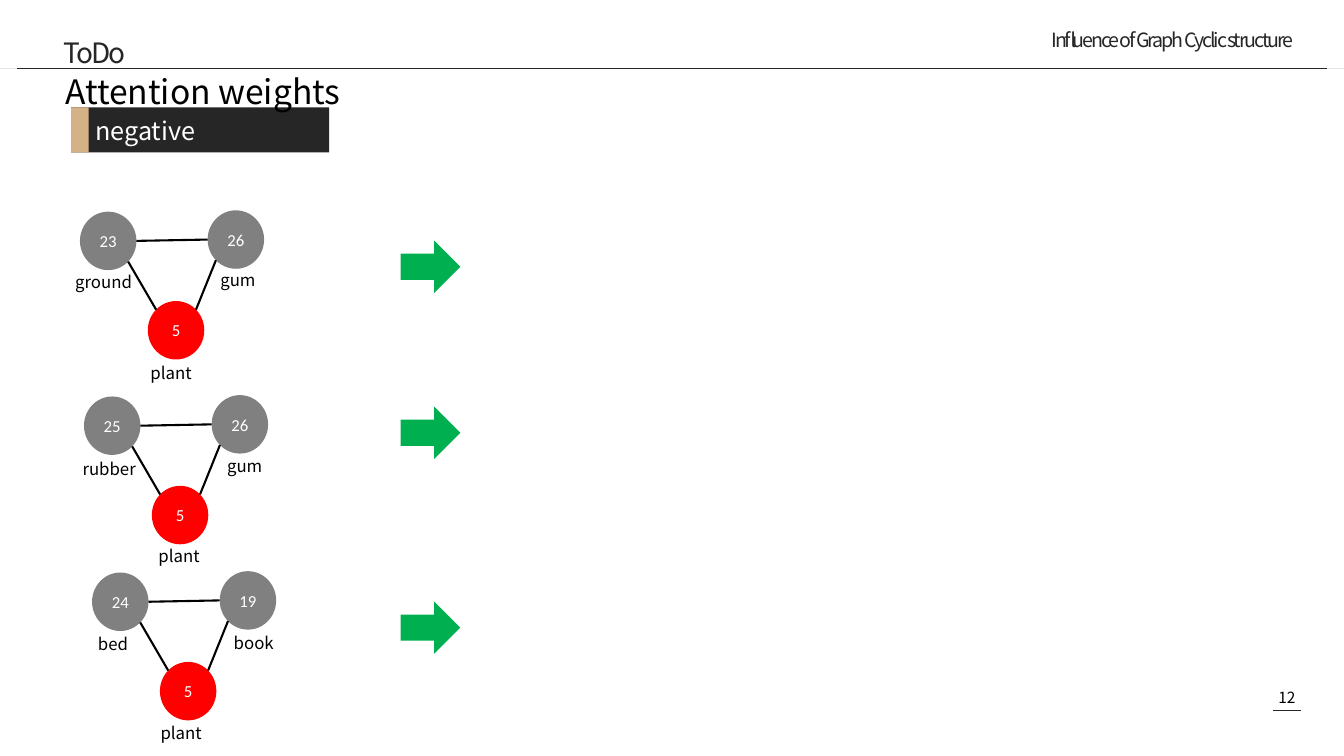
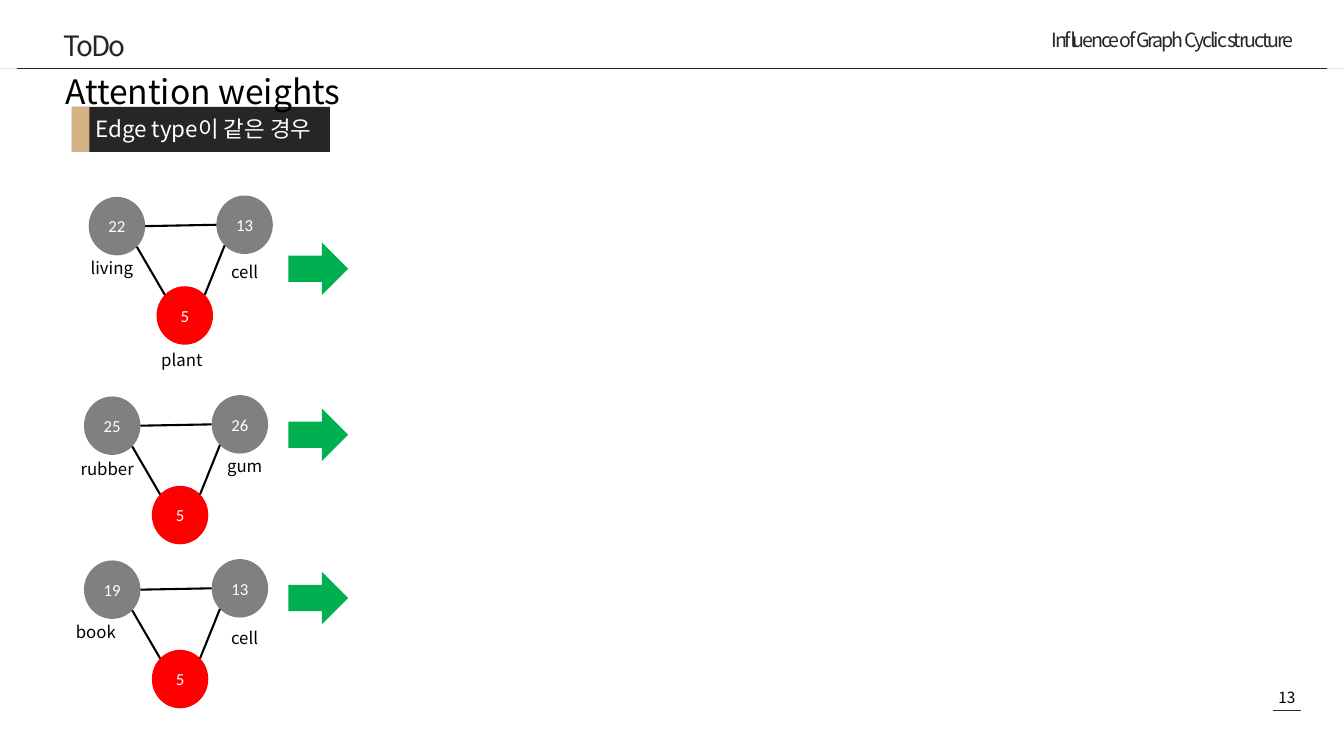
import math
from dataclasses import dataclass

import pptx
import pptx.dml.color
import pptx.enum.shapes
import pptx.enum.text
import pptx.oxml
import pptx.oxml.ns
import pptx.util
from pptx.util import Inches

COLORS = {
    "ink": "262626",
    "tan": "D5B186",
    "word": "808080",
    "target": "FF0000",
    "arrow": "00B050",
    "black": "000000",
    "white": "FFFFFF",
}
TEXT_FONT = "Noto Sans CJK KR"
NUMBER_FONT = "Calibri"
TIGHT = -220

NODE_WIDTH, NODE_HEIGHT = 0.84, 0.87
TARGET_OFFSET = (1.01, 1.33)
RIGHT_OFFSET = (1.9, -0.02)
TARGET_NUMBER = "5"

SHAPES = pptx.enum.shapes.MSO_SHAPE
ALIGN = pptx.enum.text.PP_ALIGN
ANCHOR = pptx.enum.text.MSO_ANCHOR


@dataclass
class Label:
    text: str
    left: float
    top: float
    width: float = 3.99


@dataclass
class Triangle:
    """Two word nodes above the target node; left and top place the left node."""
    left: float
    top: float
    left_number: str
    right_number: str
    labels: list[Label]


@dataclass
class Node:
    left: float
    top: float
    number: str
    color: str

    def rim(self, degrees: float) -> tuple[float, float]:
        """Point on the outline, clockwise from the right side."""
        angle = math.radians(degrees)
        return (self.left + NODE_WIDTH / 2 * (1 + math.cos(angle)),
                self.top + NODE_HEIGHT / 2 * (1 + math.sin(angle)))


@dataclass
class Page:
    number: int
    section_top: float
    band_left: float
    band_top: float
    band_text: str
    band_size: float
    arrow_left: float
    arrow_tops: list[float]
    triangles: list[Triangle]


PAGES = [
    Page(12, 0.19, 1.06, 1.6, "negative", 27, 5.96, [3.58, 6.05, 8.95], [
        Triangle(1.19, 3.15, "23", "26", [
            Label("ground", 1.02, 3.99, 1.48), Label("gum", 3.18, 3.96),
            Label("plant", 2.14, 5.35)]),
        Triangle(1.25, 5.9, "25", "26", [
            Label("rubber", 1.13, 6.78, 1.76), Label("gum", 3.28, 6.73),
            Label("plant", 2.26, 8.07)]),
        Triangle(1.37, 8.52, "24", "19", [
            Label("bed", 1.36, 9.38, 1.43), Label("book", 3.38, 9.36),
            Label("plant", 2.29, 10.71)]),
    ]),
    Page(13, 0.09, 1.07, 1.59, "Edge type이 같은 경우", 24, 4.29, [3.61, 6.08, 8.51], [
        Triangle(1.32, 2.93, "22", "13", [
            Label("living", 1.25, 3.79), Label("cell", 3.34, 3.85),
            Label("plant", 2.3, 5.15)]),
        Triangle(1.25, 5.9, "25", "26", [
            Label("rubber", 1.1, 6.77), Label("gum", 3.28, 6.73)]),
        Triangle(1.25, 8.34, "19", "13", [
            Label("book", 1.03, 9.21, 1.42), Label("cell", 3.34, 9.29)]),
    ]),
]


def rgb(color: str) -> pptx.dml.color.RGBColor:
    return pptx.dml.color.RGBColor.from_string(COLORS[color])


def add_child(parent, tag: str):
    return pptx.oxml.ns.qn(tag) and parent.append(
        pptx.oxml.parse_xml(f"<{tag} {pptx.oxml.ns.nsdecls('a')}/>"))


def write(shape, text: str, size: float, color: str = "black", font: str = TEXT_FONT,
          align=ALIGN.LEFT, anchor=ANCHOR.TOP, spacing: int = 0, leading: float = 1.0) -> None:
    frame = shape.text_frame
    frame_format = {"word_wrap": True, "vertical_anchor": anchor,
                    "auto_size": pptx.enum.text.MSO_AUTO_SIZE.NONE}
    for name, value in frame_format.items():
        setattr(frame, name, value)
    para = frame.paragraphs[0]
    para_format = {"alignment": align, "line_spacing": leading,
                   "space_before": pptx.util.Pt(0)}
    for name, value in para_format.items():
        setattr(para, name, value)
    span = para.add_run()
    span.text = text
    font_format = {"size": pptx.util.Pt(size), "name": font, "bold": False}
    for name, value in font_format.items():
        setattr(span.font, name, value)
    span.font.color.rgb = rgb(color)
    properties = span._r.get_or_add_rPr()
    properties.append(pptx.oxml.parse_xml(
        f'<a:ea {pptx.oxml.ns.nsdecls("a")} typeface="{font}"/>'))
    if spacing:
        properties.set("spc", str(spacing))


def place(shape, left: float, top: float, width: float, height: float) -> None:
    box = {"left": left, "top": top, "width": width, "height": height}
    for name, value in box.items():
        setattr(shape, name, Inches(value))


def add_box(shapes, left: float, top: float, width: float, height: float):
    return shapes.add_textbox(Inches(left), Inches(top), Inches(width), Inches(height))


def add_solid(shapes, kind, left: float, top: float, width: float, height: float, color: str):
    shape = shapes.add_shape(kind, Inches(left), Inches(top), Inches(width), Inches(height))
    shape.shadow.inherit = False
    shape.fill.solid()
    shape.fill.fore_color.rgb = rgb(color)
    shape.line.fill.background()
    return shape


def add_line(shapes, start: tuple[float, float], end: tuple[float, float],
             color: str, weight: float) -> None:
    line = shapes.add_connector(pptx.enum.shapes.MSO_CONNECTOR.STRAIGHT,
                                *(Inches(value) for value in (*start, *end)))
    line.line.color.rgb = rgb(color)
    line.line.width = pptx.util.Pt(weight)
    add_child(line._element.spPr, "a:effectLst")


def add_frame(slide, page: Page) -> None:
    """Running header, rules, page number and section name."""
    shapes = slide.shapes
    write(add_box(shapes, 18.64, 10.19, 1.02, 0.38), str(page.number), 16.5,
          align=ALIGN.CENTER)
    add_line(shapes, (18.94, 10.57), (19.36, 10.57), "ink", 0.5)
    write(add_box(shapes, 10.73, 0.37, 8.62, 0.55), "Influence of Graph Cyclic structure",
          21, "ink", align=ALIGN.RIGHT, spacing=TIGHT)
    add_solid(shapes, SHAPES.RECTANGLE, 0, 1.02, 20, 0, "ink")
    add_line(shapes, (0.26, 1.02), (19.74, 1.02), "ink", 0.5)

    section = slide.placeholders[1]
    place(section, 0.85, page.section_top, 9.15, 1.02)
    properties = section.text_frame.paragraphs[0]._p.get_or_add_pPr()
    properties.set("marL", "0")
    properties.set("indent", "0")
    add_child(properties, "a:buNone")
    write(section, "ToDo", 30, "ink", anchor=ANCHOR.MIDDLE, spacing=TIGHT, leading=1.3)


def add_band(slide, page: Page) -> None:
    band = slide.shapes.add_group_shape().shapes
    for width, color in ((3.84, "ink"), (0.26, "tan")):
        add_solid(band, SHAPES.RECTANGLE, page.band_left, page.band_top, width, 0.67, color)
    write(add_box(band, 1.32, page.band_top + 0.07, 3.84, 0.56),
          page.band_text, page.band_size, "white")


def add_title(slide) -> None:
    """Title in front of the band it overlaps."""
    title = slide.shapes.title
    place(title, 0.87, 1.01, 5.05, 0.71)
    write(title, "Attention weights", 36)
    slide.shapes._spTree.append(title._element)


def add_triangle(shapes, triangle: Triangle) -> None:
    def node_at(offset: tuple[float, float], number: str, color: str) -> Node:
        return Node(triangle.left + offset[0], triangle.top + offset[1], number, color)

    left = node_at((0, 0), triangle.left_number, "word")
    target = node_at(TARGET_OFFSET, TARGET_NUMBER, "target")
    right = node_at(RIGHT_OFFSET, triangle.right_number, "word")
    for node in (left, target, right):
        circle = add_solid(shapes, SHAPES.OVAL, node.left, node.top,
                           NODE_WIDTH, NODE_HEIGHT, node.color)
        write(circle, node.number, 18, "white", NUMBER_FONT, ALIGN.CENTER, ANCHOR.MIDDLE)
    edges = [
        (left.rim(0), right.rim(180)),
        (target.rim(-45), right.rim(135)),
        (left.rim(45), target.rim(-135)),
    ]
    for start, end in edges:
        add_line(shapes, start, end, "black", 2.25)
    for label in triangle.labels:
        write(add_box(shapes, label.left, label.top, label.width, 0.4), label.text, 18)


def add_page(deck, page: Page) -> None:
    slide = deck.slides.add_slide(deck.slide_layouts[1])
    add_frame(slide, page)
    add_band(slide, page)
    add_title(slide)
    for top in page.arrow_tops:
        add_solid(slide.shapes, SHAPES.RIGHT_ARROW, page.arrow_left, top, 0.89, 0.78, "arrow")
    for triangle in page.triangles:
        add_triangle(slide.shapes, triangle)


def main() -> None:
    deck = pptx.Presentation()
    deck.slide_width, deck.slide_height = Inches(20), Inches(11.25)
    for page in PAGES:
        add_page(deck, page)
    deck.save("out.pptx")


if __name__ == "__main__":
    main()
